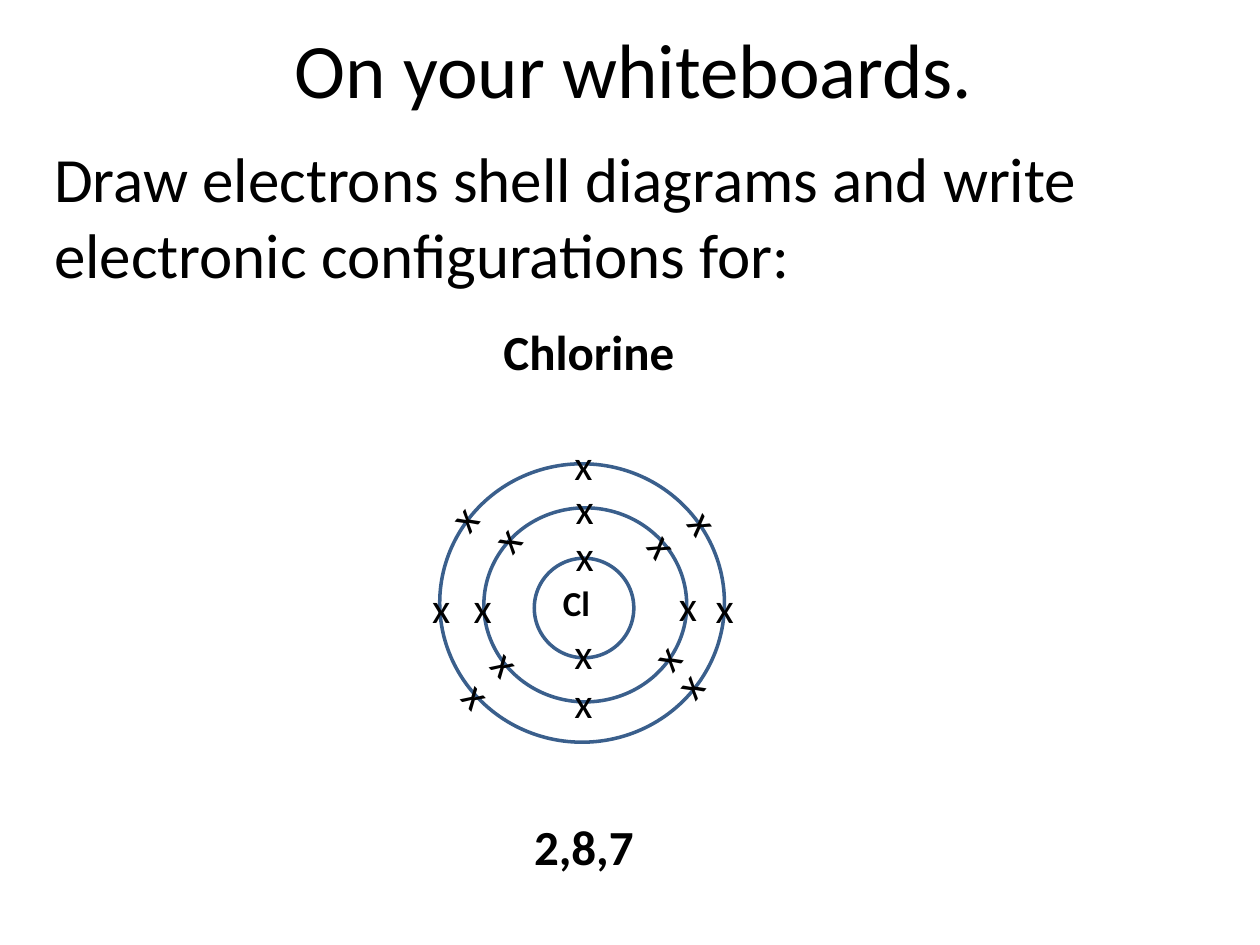
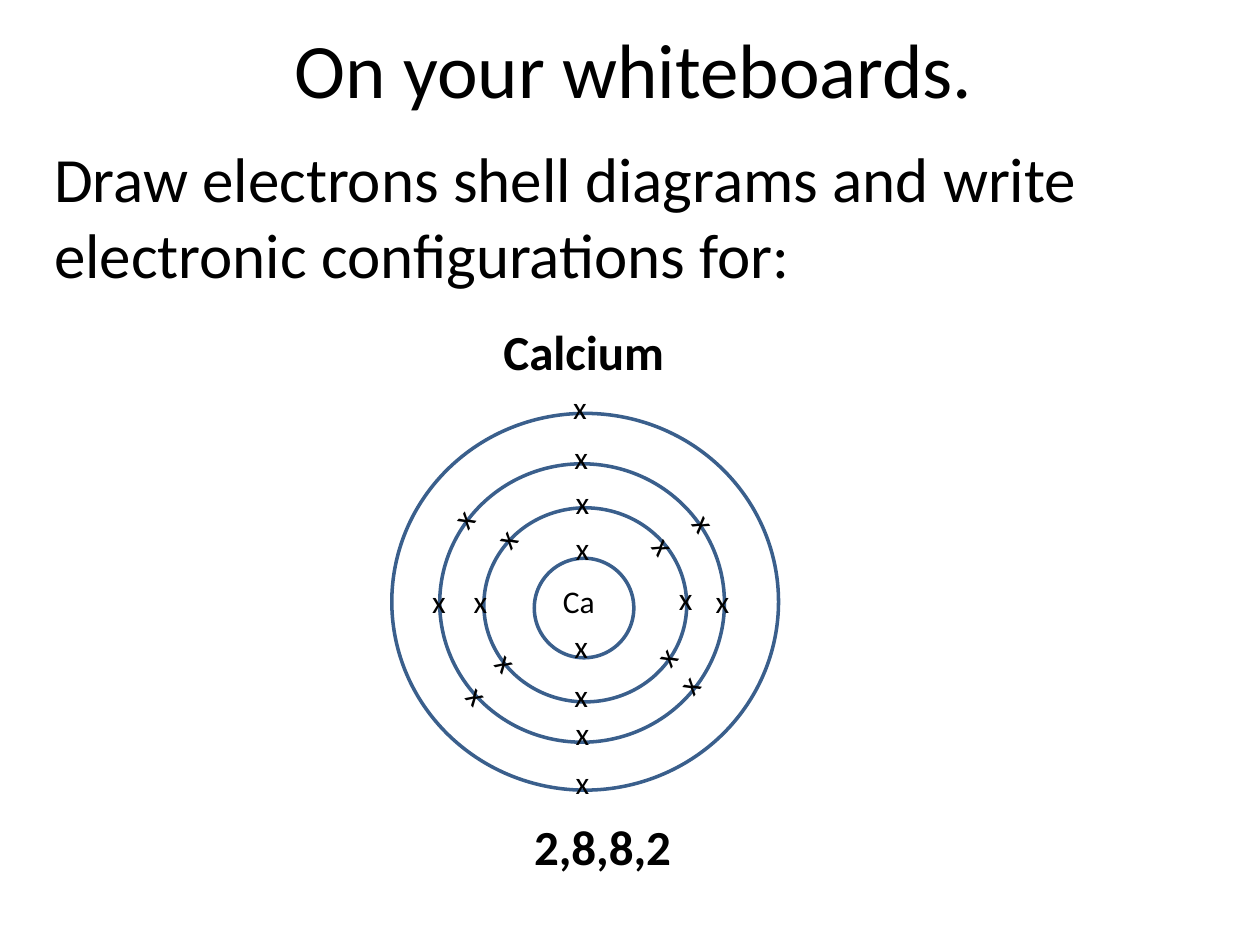
from pptx import Presentation
from pptx.dml.color import RGBColor
from pptx.enum.shapes import MSO_SHAPE
from pptx.enum.text import MSO_ANCHOR, MSO_AUTO_SIZE, PP_ALIGN
from pptx.util import Pt

OVAL = MSO_SHAPE.OVAL
MIDDLE = MSO_ANCHOR.MIDDLE
CENTER = PP_ALIGN.CENTER
LEFT = PP_ALIGN.LEFT
GROW = MSO_AUTO_SIZE.SHAPE_TO_FIT_TEXT

COLORS = {"text": "000000", "shell": "3A5F8C"}
FONT = "Calibri"
BLANK_LAYOUT = 6

# Shells from the nucleus outwards: left, top, width, height
SHELLS = [
    (305.3, 319, 56.9, 56.9),
    (276.5, 290.2, 115.9, 110.9),
    (251.3, 265, 162.7, 159.1),
    (223.9, 236.2, 221, 215.3),
]

# Electrons of each shell in filling order.
# Upright ones: left, top. Tilted ones: centre x, centre y, rotation.
ELECTRONS = [
    [(321.8, 298.8), (321.1, 355)],
    [(263.5, 329), (321.8, 272.2), (321.1, 383), (380.9, 327.6),
     (380.5, 375.1, 309.6), (379.8, 311.8, 54.4),
     (289.1, 307.4, 309.8), (289.8, 378.7, 47.1)],
    [(321.1, 247), (401.8, 329), (239.8, 329),
     (402.8, 298.8, 54.4), (393.5, 391, 309.6),
     (264.6, 295.9, 309.8), (273.2, 397.4, 47.1), (321.8, 404.6)],
    [(320.4, 218.2), (321.8, 432.7)],
]

# Width and height of an electron's box at each text size
ELECTRON_BOX = {24: (25.2, 36), 18: (22.3, 28.8)}

ELEMENTS = [
    {"name": "Chlorine", "name_width": 113.2,
     "symbol": "Cl", "symbol_box": (30.2, 31.7), "symbol_size": 20,
     "symbol_bold": True, "electron_size": 24,
     "configuration": (2, 8, 7), "configuration_width": 72},
    {"name": "Calcium", "name_width": 107.5,
     "symbol": "Ca", "symbol_box": (33.1, 28.8), "symbol_size": 18,
     "symbol_bold": False, "electron_size": 18,
     "configuration": (2, 8, 8, 2), "configuration_width": 94.3},
]


def add_text(slide, text, box, size, bold=False, wrap=False, align=LEFT):
    label = slide.shapes.add_textbox(*map(Pt, box))
    frame = label.text_frame
    frame.word_wrap = wrap
    frame.auto_size = GROW
    paragraph = frame.paragraphs[0]
    paragraph.alignment = align
    run = paragraph.add_run()
    run.text = text
    run.font.name = FONT
    run.font.size = Pt(size)
    run.font.bold = bold
    run.font.color.rgb = RGBColor.from_string(COLORS["text"])
    return label


def add_heading(slide):
    title = add_text(slide, "On your whiteboards.", (38.9, -19.4, 646.6, 115.9),
                     44, wrap=True, align=CENTER)
    title.text_frame.auto_size = MSO_AUTO_SIZE.NONE
    title.text_frame.vertical_anchor = MIDDLE
    add_text(slide,
             "Draw electrons shell diagrams and write electronic configurations for:",
             (23.8, 76.3, 602.6, 94.3), 36, wrap=True)


def add_shell(slide, box):
    shell = slide.shapes.add_shape(OVAL, *map(Pt, box))
    shell.shadow.inherit = False
    shell.fill.background()
    shell.line.color.rgb = RGBColor.from_string(COLORS["shell"])
    shell.line.width = Pt(2)


def add_electron(slide, place, size):
    """Upright marks hang from their corner; tilted ones turn about their centre."""
    x, y, *tilt = place
    width, height = ELECTRON_BOX[size]
    if tilt:
        x, y = x - width / 2, y - height / 2
    electron = add_text(slide, "x", (x, y, width, height), size)
    if tilt:
        electron.rotation = tilt[0]


def add_atom(slide, element):
    counts = element["configuration"]
    for box in SHELLS[:len(counts)]:
        add_shell(slide, box)
    for count, places in zip(counts, ELECTRONS):
        for place in places[:count]:
            add_electron(slide, place, element["electron_size"])
    add_text(slide, element["symbol"], (314.6, 329, *element["symbol_box"]),
             element["symbol_size"], element["symbol_bold"])


def add_element_slide(deck, element):
    slide = deck.slides.add_slide(deck.slide_layouts[BLANK_LAYOUT])
    add_heading(slide)
    add_text(slide, element["name"], (280.6, 180, element["name_width"], 41),
             28, bold=True)
    add_atom(slide, element)
    add_text(slide, ",".join(map(str, element["configuration"])),
             (298.1, 463, element["configuration_width"], 41), 28, bold=True)


def main():
    deck = Presentation()
    deck.slide_width, deck.slide_height = Pt(720), Pt(540)
    for element in ELEMENTS:
        add_element_slide(deck, element)
    deck.save("out.pptx")


if __name__ == "__main__":
    main()
